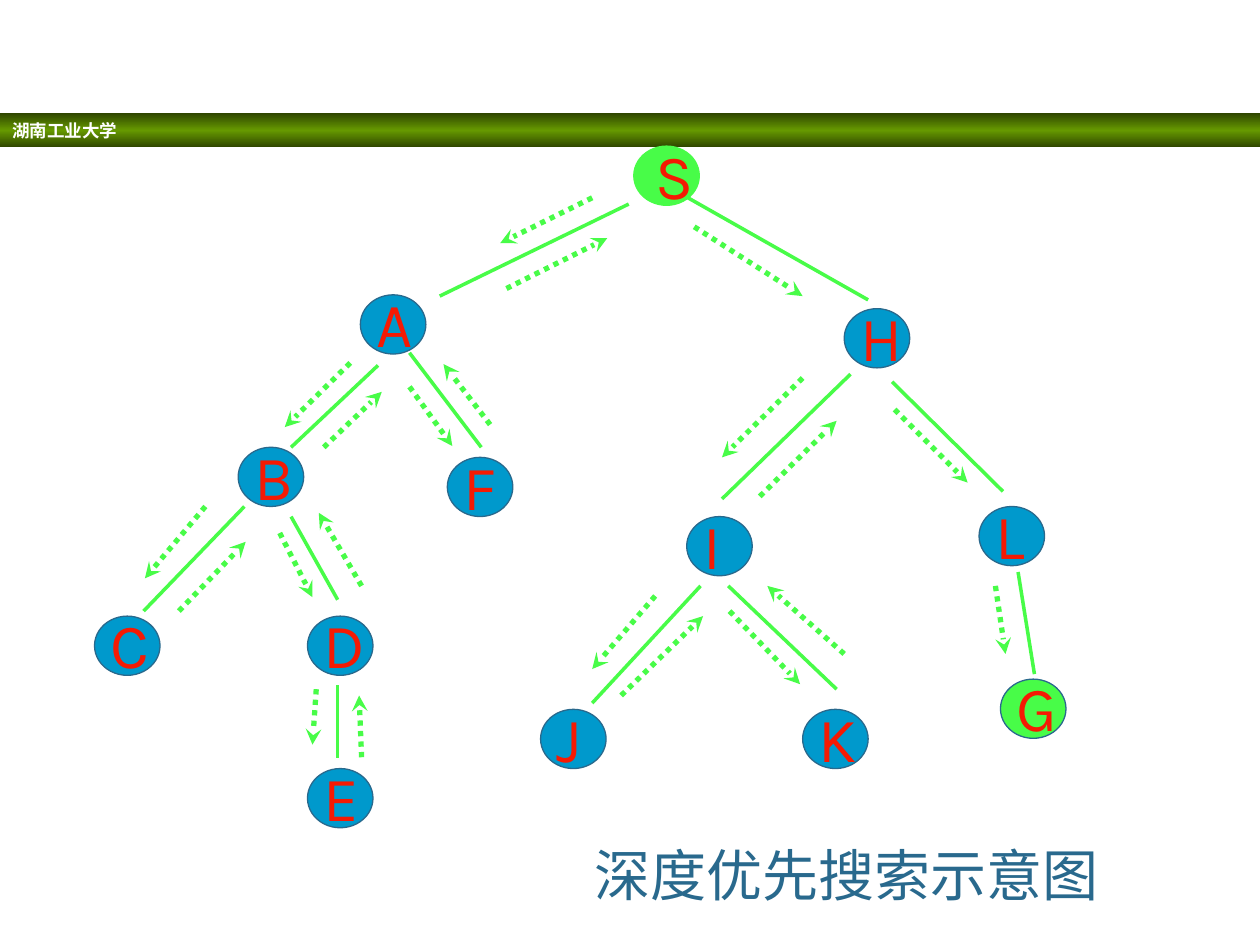
from dataclasses import dataclass

from lxml import etree
from pptx import Presentation
from pptx import util as u
from pptx.dml.color import RGBColor
from pptx.enum import dml, shapes, text
from pptx.oxml.ns import qn

# Slide grid: 1000 columns by 750 rows
COLS, ROWS = 1000, 750
WIDTH, HEIGHT = u.Inches(10), u.Inches(7.5)
BLUE, GREEN, RED, EDGE = "0099CC", "48FC48", "F51A03", "29698D"
DARK, OLIVE, WHITE = "2F4600", "669900", "FFFFFF"
NODE_W, NODE_H = 52, 47


@dataclass
class Node:
    name: str
    col: int
    row: int
    fill: str = BLUE
    outline: str = EDGE
    label_dx: int = 13


@dataclass
class Line:
    col1: int
    row1: int
    col2: int
    row2: int


NODES = [
    Node("H", 670, 245), Node("A", 286, 234), Node("L", 777, 402),
    Node("I", 545, 410), Node("F", 355, 363), Node("B", 189, 355),
    Node("C", 75, 489), Node("D", 244, 489), Node("E", 244, 610),
    Node("J", 429, 563), Node("G", 794, 539, GREEN), Node("K", 637, 563),
    Node("S", 503, 116, GREEN, GREEN, 17),
]

BRANCHES = [
    Line(499, 162, 349, 235), Line(546, 157, 689, 238),  # S-A, S-H
    Line(300, 290, 231, 355), Line(325, 280, 382, 355),  # A-B, A-F
    Line(194, 402, 114, 485), Line(231, 410, 268, 476),  # B-C, B-D
    Line(268, 544, 268, 602),                            # D-E
    Line(675, 297, 573, 396), Line(708, 303, 796, 390),  # H-I, H-L
    Line(556, 465, 470, 558), Line(578, 465, 664, 547),  # I-J, I-K
    Line(808, 454, 821, 535),                            # L-G
]

# Search moves down the tree
DESCENTS = [
    Line(470, 157, 397, 193), Line(551, 180, 637, 235),  # S-A, S-H
    Line(278, 288, 226, 339), Line(325, 307, 359, 354),  # A-B, A-F
    Line(163, 402, 115, 459), Line(222, 423, 248, 474),  # B-C, B-D
    Line(251, 547, 248, 591),                            # D-E
    Line(637, 300, 573, 363), Line(710, 325, 768, 383),  # H-I, H-L
    Line(520, 473, 470, 531), Line(579, 485, 635, 543),  # I-J, I-K
    Line(790, 465, 798, 519),                            # L-G
]

# Backtracking moves up the tree
RETURNS = [
    Line(402, 229, 482, 189),                            # A-S
    Line(257, 355, 303, 311), Line(389, 337, 352, 289),  # B-A, F-A
    Line(142, 485, 195, 430), Line(287, 465, 253, 407),  # C-B, D-B
    Line(287, 601, 285, 552),                            # E-D
    Line(603, 394, 664, 334),                            # I-H
    Line(493, 552, 558, 489), Line(670, 519, 609, 465),  # J-I, K-I
]


def x(col: float) -> int:
    return round(WIDTH * col / COLS)


def y(row: float) -> int:
    return round(HEIGHT * row / ROWS)


def color(value: str) -> RGBColor:
    return RGBColor.from_string(value)


def write(sp, content: str, size: int, font: str, fill: str, bold=False, inset=True):
    tf = sp.text_frame
    tf.word_wrap = True
    if not inset:
        tf.margin_left = tf.margin_right = tf.margin_top = tf.margin_bottom = 0
        tf.vertical_anchor = text.MSO_ANCHOR.MIDDLE
    p = tf.paragraphs[0]
    p.text = content
    p.alignment = text.PP_ALIGN.LEFT
    p.font.size, p.font.name, p.font.bold = u.Pt(size), font, bold
    p.font.color.rgb = color(fill)


def add_banner(s, content: str):
    sp = s.shapes.add_shape(shapes.MSO_SHAPE.RECTANGLE, 0, y(90), x(COLS), y(27))
    sp.shadow.inherit = False
    sp.line.fill.background()
    sp.fill.gradient()
    sp.fill.gradient_angle = 90
    first, last = sp.fill.gradient_stops
    first.color.rgb = last.color.rgb = color(DARK)
    first.position, last.position = 0, 1
    # The third, middle stop needs XML
    stops = sp.fill._fill._gradFill.find(qn("a:gsLst"))
    middle = etree.Element(qn("a:gs"), pos="50000")
    etree.SubElement(middle, qn("a:srgbClr"), val=OLIVE)
    stops.insert(1, middle)
    write(sp, content, 10, "DejaVu Sans", WHITE, bold=True)


def add_node(s, node: Node):
    sp = s.shapes.add_shape(shapes.MSO_SHAPE.OVAL, x(node.col), y(node.row),
                            x(NODE_W), y(NODE_H))
    sp.shadow.inherit = False
    sp.fill.solid()
    sp.fill.fore_color.rgb = color(node.fill)
    sp.line.color.rgb = color(node.outline)
    sp.line.width = u.Pt(0.75)
    label = s.shapes.add_textbox(x(node.col + node.label_dx), y(node.row - 8),
                                 x(20), y(60))
    write(label, node.name, 36, "Karla", RED, inset=False)


def add_line(s, line: Line, arrow: bool = False):
    c = s.shapes.add_connector(shapes.MSO_CONNECTOR.STRAIGHT, x(line.col1),
                               y(line.row1), x(line.col2), y(line.row2))
    c.line.color.rgb = color(GREEN)
    c.line.width = u.Pt(3 if arrow else 2)
    if arrow:
        c.line.dash_style = dml.MSO_LINE.ROUND_DOT
        etree.SubElement(c.line._get_or_add_ln(), qn("a:tailEnd"), type="stealth")
    etree.SubElement(c._element.spPr, qn("a:effectLst"))


def main():
    prs = Presentation()
    prs.slide_width, prs.slide_height = WIDTH, HEIGHT
    s = prs.slides.add_slide(prs.slide_layouts[6])

    add_banner(s, "湖南工业大学")

    # Search tree
    for node in NODES:
        add_node(s, node)
    for branch in BRANCHES:
        add_line(s, branch)
    for move in DESCENTS + RETURNS:
        add_line(s, move, arrow=True)

    # Caption
    caption = s.shapes.add_textbox(x(462), y(662), x(479), y(64))
    write(caption, "深度优先搜索示意图", 32, "Karla", EDGE)

    prs.save("out.pptx")


if __name__ == "__main__":
    main()
